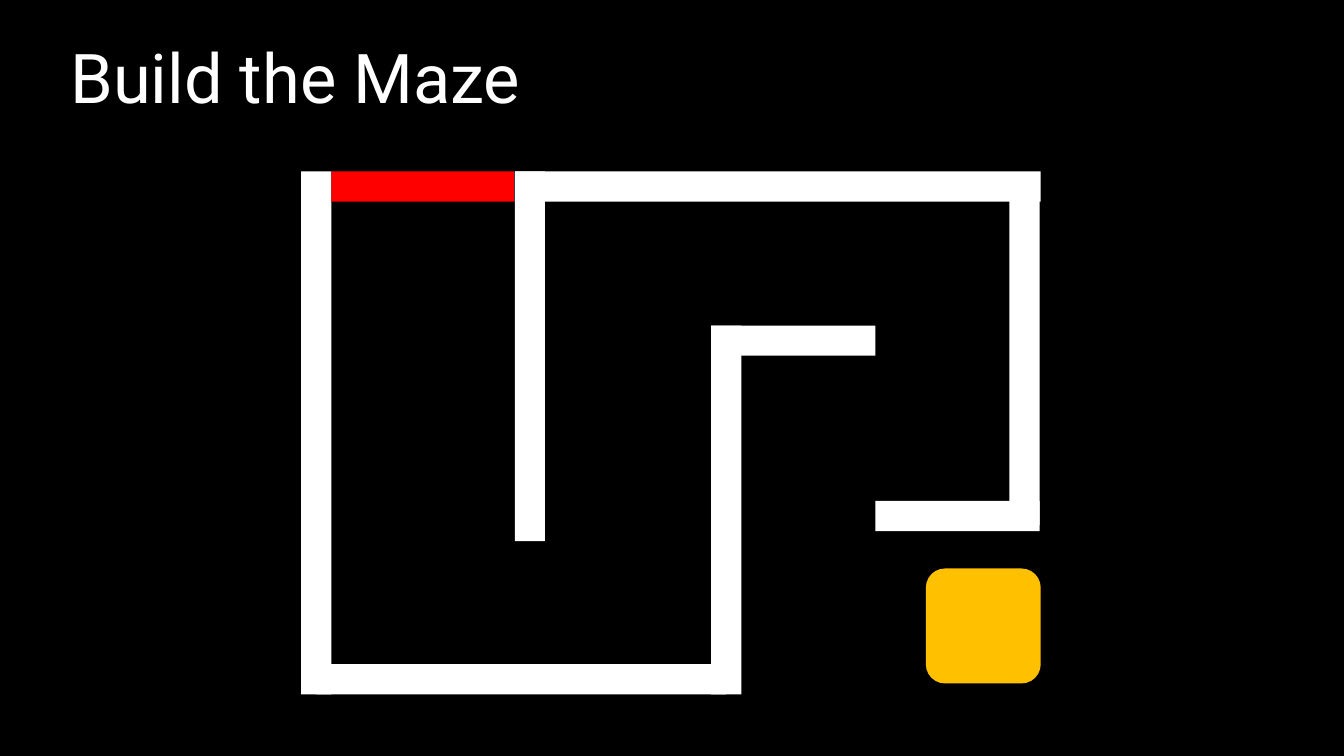
from pptx import Presentation
from pptx.dml.color import RGBColor
from pptx.enum.shapes import MSO_SHAPE
from pptx.enum.text import MSO_ANCHOR, MSO_AUTO_SIZE, PP_ALIGN
from pptx.util import Inches, Pt

BLACK = RGBColor(0x00, 0x00, 0x00)
WHITE = RGBColor(0xFF, 0xFF, 0xFF)
RED = RGBColor(0xFF, 0x00, 0x00)
AMBER = RGBColor(0xFF, 0xC0, 0x00)

HEADING = "Build the Maze"
HEADING_BOX = (0.59, 0.17, 9.5, 1.17)
HEADING_FRAME = {
    "word_wrap": True,
    "auto_size": MSO_AUTO_SIZE.NONE,
    "vertical_anchor": MSO_ANCHOR.MIDDLE,
    "margin_left": Inches(0.11),
    "margin_right": Inches(0.11),
    "margin_top": Inches(0.06),
    "margin_bottom": Inches(0.06),
}
HEADING_FONT = {"name": "Roboto", "size": Pt(49), "bold": False}

WALL = 0.3
HORIZONTAL_WALLS = [
    (8.69, 4.97, 1.63),
    (7.06, 3.23, 1.63),
    (3.14, 6.59, 4.07),
    (5.11, 1.7, 5.22),
]
VERTICAL_WALLS = [
    (7.06, 3.23, 3.66),
    (5.11, 1.7, 3.67),
    (2.99, 1.7, 5.19),
    (10.02, 1.81, 3.4),
]
ENTRANCE = (3.29, 1.7, 1.81, WALL)
PLAYER = (9.19, 5.64, 1.14, 1.14)


def apply_format(target, values):
    for name, value in values.items():
        setattr(target, name, value)


def add_block(slide, box, color, outline=MSO_SHAPE.RECTANGLE):
    block = slide.shapes.add_shape(outline, *map(Inches, box))
    block.shadow.inherit = False
    block.fill.solid()
    block.fill.fore_color.rgb = color
    block.line.fill.background()


deck = Presentation()
deck.slide_width, deck.slide_height = Inches(13.34), Inches(7.5)
slide = deck.slides.add_slide(deck.slide_layouts[5])
slide.background.fill.solid()
slide.background.fill.fore_color.rgb = BLACK

heading = slide.shapes.title
apply_format(heading, dict(zip(("left", "top", "width", "height"), map(Inches, HEADING_BOX))))
heading.text_frame.text = HEADING
apply_format(heading.text_frame, HEADING_FRAME)
heading_line = heading.text_frame.paragraphs[0]
heading_line.alignment = PP_ALIGN.LEFT
heading_font = heading_line.runs[0].font
apply_format(heading_font, HEADING_FONT)
heading_font.color.rgb = WHITE

for left, top, length in HORIZONTAL_WALLS:
    add_block(slide, (left, top, length, WALL), WHITE)
for left, top, length in VERTICAL_WALLS:
    add_block(slide, (left, top, WALL, length), WHITE)
add_block(slide, PLAYER, AMBER, MSO_SHAPE.ROUNDED_RECTANGLE)
add_block(slide, ENTRANCE, RED)

deck.save("out.pptx")
